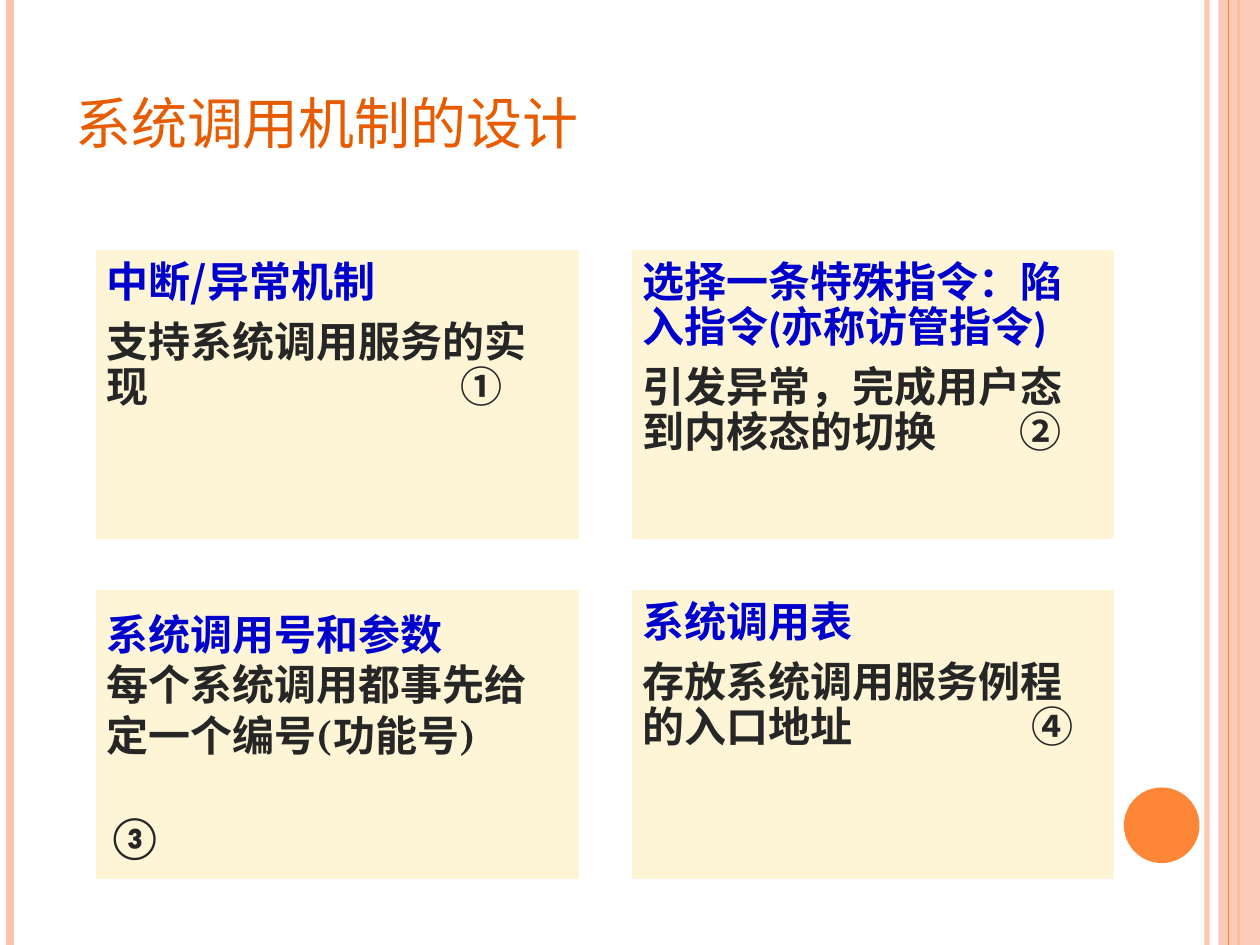
from lxml.etree import SubElement
from pptx import Presentation
from pptx.dml.color import RGBColor
from pptx.enum.shapes import MSO_CONNECTOR, MSO_SHAPE
from pptx.enum.text import MSO_ANCHOR
from pptx.oxml.ns import qn
from pptx.util import Inches, Pt

CJK = "Noto Sans CJK SC"
BLUE, DARK = "0000CC", "262626"
ORANGE, PEACH, CREAM, WHITE = "FE8637", "FEC3AE", "FDF5D5", "FFFFFF"


def color(value):
    return RGBColor.from_string(value)


class SlideBuilder:
    def __init__(self, slide):
        self.slide = slide

    def set_alpha(self, element, percent):
        for fill in element.iter(qn("a:srgbClr")):
            SubElement(fill, qn("a:alpha"), val=str(percent * 1000))

    def vertical_line(self, x, tone, width, alpha=None):
        line = self.slide.shapes.add_connector(
            MSO_CONNECTOR.STRAIGHT, Inches(x), Inches(0), Inches(x), Inches(7.5))
        line.line.color.rgb = color(tone)
        line.line.width = Pt(width)
        properties = line._element.spPr
        if alpha:
            self.set_alpha(properties, alpha)
        SubElement(properties, qn("a:effectLst"))

    def shape(self, kind, area, fill, outline=None, alpha=None):
        shape = self.slide.shapes.add_shape(kind, *map(Inches, area))
        shape.shadow.inherit = False
        shape.fill.solid()
        shape.fill.fore_color.rgb = color(fill)
        if alpha:
            self.set_alpha(shape._element.spPr, alpha)
        if outline:
            shape.line.color.rgb = color(outline)
            shape.line.width = Pt(2)
        else:
            shape.line.fill.background()
        return shape

    def text_box(self, area, anchor, margin=None):
        box = self.slide.shapes.add_textbox(*map(Inches, area))
        frame = box.text_frame
        frame.word_wrap = True
        frame.vertical_anchor = anchor
        if margin is not None:
            for side in ("left", "top", "right", "bottom"):
                setattr(frame, f"margin_{side}", Inches(margin))
        return frame

    def paragraph(self, frame, spans, tone, tab=None, size=24, bold=True, caps=None, **layout):
        first = frame.paragraphs[0]
        para = first if not first.runs else frame.add_paragraph()
        if tab:
            tabs = SubElement(para._p.get_or_add_pPr(), qn("a:tabLst"))
            SubElement(tabs, qn("a:tab"), pos=str(Inches(tab)), algn="l")
        for name, value in layout.items():
            setattr(para, name, value)
        for text, font in spans:
            span = para.add_run()
            span.text = text
            for name, value in {"name": font, "size": Pt(size), "bold": bold}.items():
                setattr(span.font, name, value)
            span.font.color.rgb = color(tone)
            SubElement(span.font._element, qn("a:ea"), typeface=CJK)
            if caps:
                span.font._element.set("cap", caps)


def main():
    deck = Presentation()
    deck.slide_width, deck.slide_height = Inches(10), Inches(7.5)
    builder = SlideBuilder(deck.slides.add_slide(deck.slide_layouts[6]))

    # Edge decoration
    builder.vertical_line(9.58, PEACH, 3, 93)
    builder.vertical_line(0.08, PEACH, 4.5)
    builder.vertical_line(9.83, ORANGE, 1.5)
    builder.shape(MSO_SHAPE.RECTANGLE, (9.67, 0, 0.33, 7.5), PEACH, alpha=87)
    builder.vertical_line(9.75, ORANGE, 0.75)
    builder.shape(MSO_SHAPE.OVAL, (8.92, 6.25, 0.6, 0.6), ORANGE)

    # Title
    title = builder.text_box((0.5, 0.3, 8.17, 1.01), MSO_ANCHOR.BOTTOM)
    builder.paragraph(title, [("系统调用机制的设计", CJK)], "E75C01",
                      size=40, bold=False, caps="small")

    # Cards: font, heading, body, number, number's tab (None: own line)
    cards = [
        (CJK, "中断/异常机制", "支持系统调用服务的实现", "①", 2.81),
        ("Calibri", "选择一条特殊指令：陷入指令(亦称访管指令)",
         "引发异常，完成用户态到内核态的切换", "②", 2.99),
        ("TeX Gyre Schola", "系统调用号和参数",
         "每个系统调用都事先给定一个编号(功能号)", "③", None),
        (CJK, "系统调用表", "存放系统调用服务例程的入口地址", "④", 3.09),
    ]
    compact = {"line_spacing": 0.9, "space_after": Pt(8.4)}
    for index, (font, heading, body, number, tab) in enumerate(cards):
        row, column = divmod(index, 2)
        area = (0.75 + 4.25 * column, 1.97 + 2.7 * row, 3.86, 2.32)
        builder.shape(MSO_SHAPE.RECTANGLE, area, CREAM, WHITE)
        anchor = MSO_ANCHOR.TOP if tab else MSO_ANCHOR.MIDDLE
        frame = builder.text_box(area, anchor, 0.1)
        layout = compact if tab else {}
        builder.paragraph(frame, [(heading, font)], BLUE, **layout)
        if tab:
            spans = [(f"{body}\t", font), (number, "Calibri")]
            builder.paragraph(frame, spans, DARK, tab, **layout)
        else:
            builder.paragraph(frame, [(body, font)], DARK)
            builder.paragraph(frame, [(number, "Calibri")], DARK, space_before=Pt(29))

    deck.save("out.pptx")


if __name__ == "__main__":
    main()
